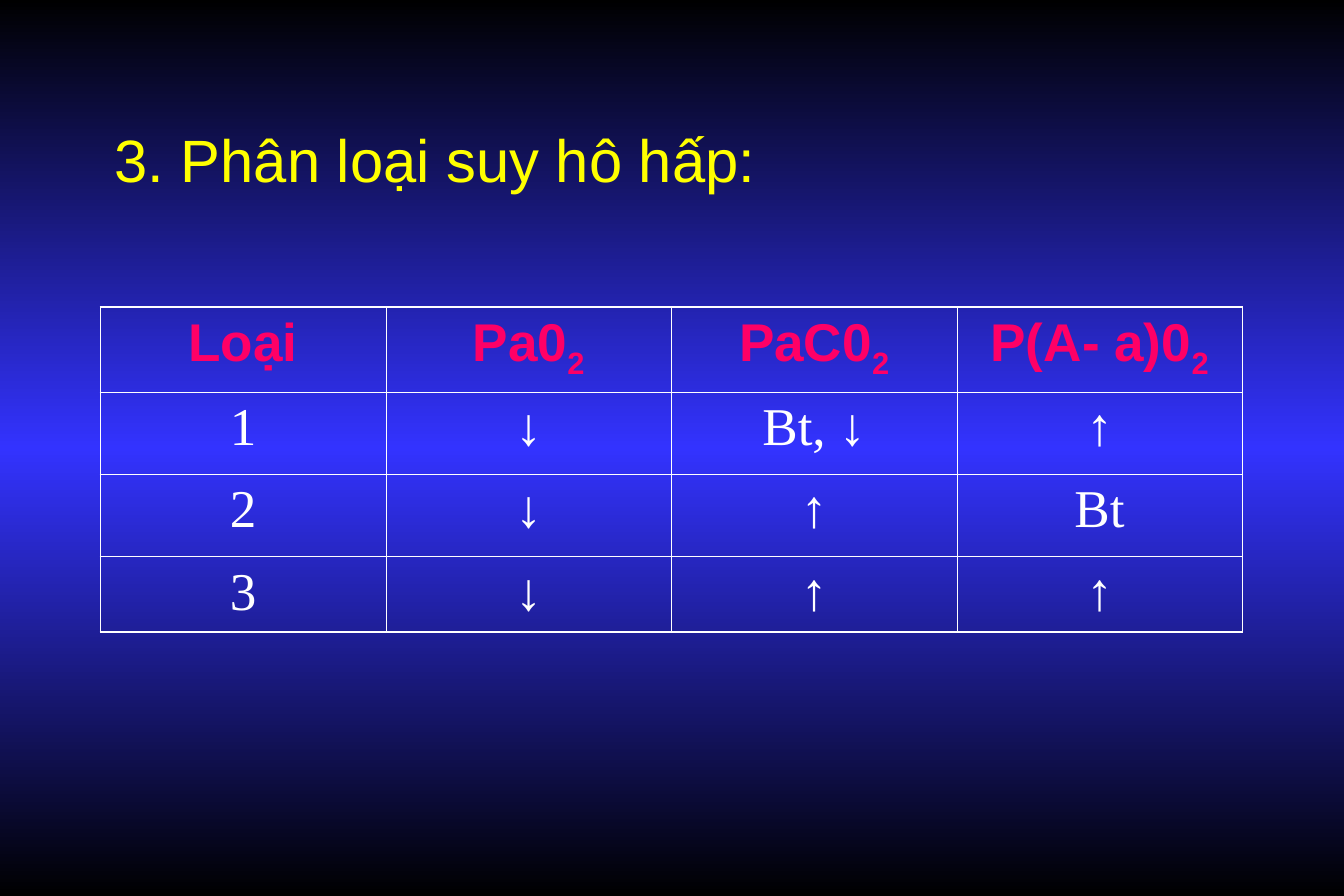
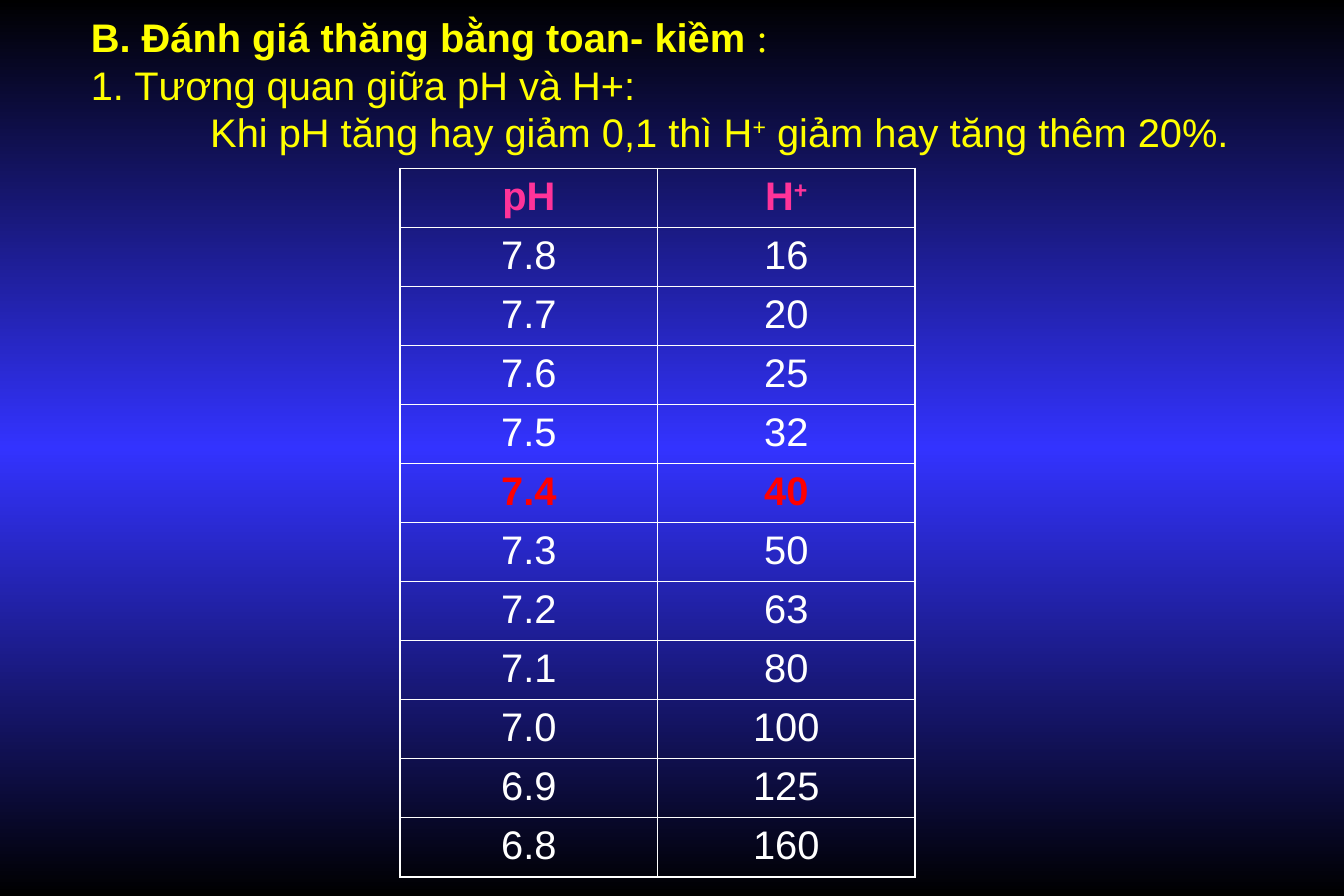
from copy import deepcopy

from lxml.etree import SubElement as Sub
from pptx import Presentation
from pptx.dml.color import RGBColor as Rgb
from pptx.enum.text import MSO_ANCHOR as Anchor, MSO_AUTO_SIZE as Auto, PP_ALIGN as Align
from pptx.oxml.ns import qn
from pptx.util import Inches, Pt

INK = {"edge": "000000", "glow": "3333FF", "title": "FFFF00", "text": "FFFFFF",
       "rose": "FF0066", "pink": "FF3399", "norm": "FF0000"}
SANS, SERIF = "Arial", "Times New Roman"
THICK, THIN = 1.08, 0.45
LOW, HIGH = {"base": -25}, {"base": 30}

# A text is a list of pieces: a string, or a string with its own format.
SLIDES = [
    {"title": ["3. Phân loại suy hô hấp:"],
     "size": 36, "box": (0.86, 0.7, 9.56, 1.25),
     "grid": {
         "at": (0.84, 2.57), "width": 9.56, "rows": [0.71, 0.69, 0.69, 0.63],
         "size": 32, "face": SERIF, "head": "rose", "norm": None,
         "cells": [
             [["Loại"], ["Pa0", ("2", LOW)], ["PaC0", ("2", LOW)], ["P(A- a)0", ("2", LOW)]],
             ["1", "↓", "Bt, ↓", "↑"],
             ["2", "↓", "↑", "Bt"],
             ["3", "↓", "↑", "↑"]]}},
    {"title": [("B. Đánh giá thăng bằng toan- kiềm ", {"bold": True}),
               (":\n", {"face": SERIF}),
               "1. Tương quan giữa pH và H+:\n\tKhi pH tăng hay giảm 0,1 thì H",
               ("+", HIGH), " giảm hay tăng thêm 20%."],
     "size": 24, "box": (0.66, 0.08, 10.4, 1.25),
     "grid": {
         "at": (3.35, 1.41), "width": 4.31, "rows": [5.93 / 12] * 12,
         "size": 24, "face": SANS, "head": "pink", "norm": "7.4",
         "cells": [
             [["pH"], ["H", ("+", HIGH)]],
             ["7.8", "16"], ["7.7", "20"], ["7.6", "25"], ["7.5", "32"],
             ["7.4", "40"], ["7.3", "50"], ["7.2", "63"], ["7.1", "80"],
             ["7.0", "100"], ["6.9", "125"], ["6.8", "160"]]}},
]


def write(par, text, align=Align.LEFT, **look):
    """Fill a paragraph with pieces; a newline becomes a line break."""
    par.alignment = align
    for piece in text:
        words, own = (piece, {}) if isinstance(piece, str) else piece
        for i, line in enumerate(words.split("\n")):
            if i:
                par.add_line_break()
            if line:
                add_run(par, line, **{**look, **own})


def add_run(par, line, size, ink, face=SANS, bold=False, base=0):
    run = par.add_run()
    run.text = line
    font = run.font
    font.size, font.name, font.bold = Pt(size), face, bold
    font.color.rgb = Rgb.from_string(INK[ink])
    if base:
        run._r.get_or_add_rPr().set("baseline", str(base * 1000))


def paint_back(master):
    fill = master.background.fill
    fill.gradient()
    fill.gradient_angle = 270
    last = list(master.element.cSld.iter(qn("a:gs")))[-1]
    last.addnext(deepcopy(last))
    for stop, (place, ink) in zip(fill.gradient_stops, [(0, "edge"), (0.5, "glow"), (1, "edge")]):
        stop.position = place
        stop.color.rgb = Rgb.from_string(INK[ink])


def add_title(slide, text, size, box):
    title = slide.shapes.title
    title.left, title.top, title.width, title.height = map(Inches, box)
    frame = title.text_frame
    frame.word_wrap, frame.auto_size = True, Auto.NONE
    frame.vertical_anchor = Anchor.MIDDLE
    par = frame.paragraphs[0]
    tabs = Sub(par._p.get_or_add_pPr(), qn("a:tabLst"))
    Sub(tabs, qn("a:tab"), pos=str(Inches(1)), algn="l")
    write(par, text, size=size, ink="title")


def rule_cell(cell, outer):
    """Draw the four borders, thick on the sides flagged in outer."""
    props = cell._tc.get_or_add_tcPr()
    for side, thick in zip("LRTB", outer):
        line = Sub(props, qn("a:ln" + side), w=str(Pt(THICK if thick else THIN)))
        Sub(Sub(line, qn("a:solidFill")), qn("a:srgbClr"), val=INK["text"])
    cell.fill.background()


def add_grid(slide, at, width, rows, size, face, head, norm, cells):
    wide = len(cells[0])
    table = slide.shapes.add_table(len(rows), wide, *map(Inches, (*at, width, sum(rows)))).table
    table.first_row = table.horz_banding = False
    for row, high in zip(table.rows, rows):
        row.height = Inches(high)
    for r, line in enumerate(cells):
        if r == 0:
            look = {"ink": head, "bold": True}
        elif line[0] == norm:
            look = {"ink": "norm", "bold": True, "face": face}
        else:
            look = {"ink": "text", "face": face}
        for c, text in enumerate(line):
            cell = table.cell(r, c)
            rule_cell(cell, (c == 0, c == wide - 1, r == 0, r == len(rows) - 1))
            pieces = [text] if isinstance(text, str) else text
            write(cell.text_frame.paragraphs[0], pieces, Align.CENTER, size=size, **look)


def main():
    deck = Presentation()
    deck.slide_width, deck.slide_height = Inches(11.25), Inches(7.5)
    paint_back(deck.slide_master)
    for item in SLIDES:
        slide = deck.slides.add_slide(deck.slide_layouts[5])
        add_title(slide, item["title"], item["size"], item["box"])
        add_grid(slide, **item["grid"])
    deck.save("out.pptx")


if __name__ == "__main__":
    main()
